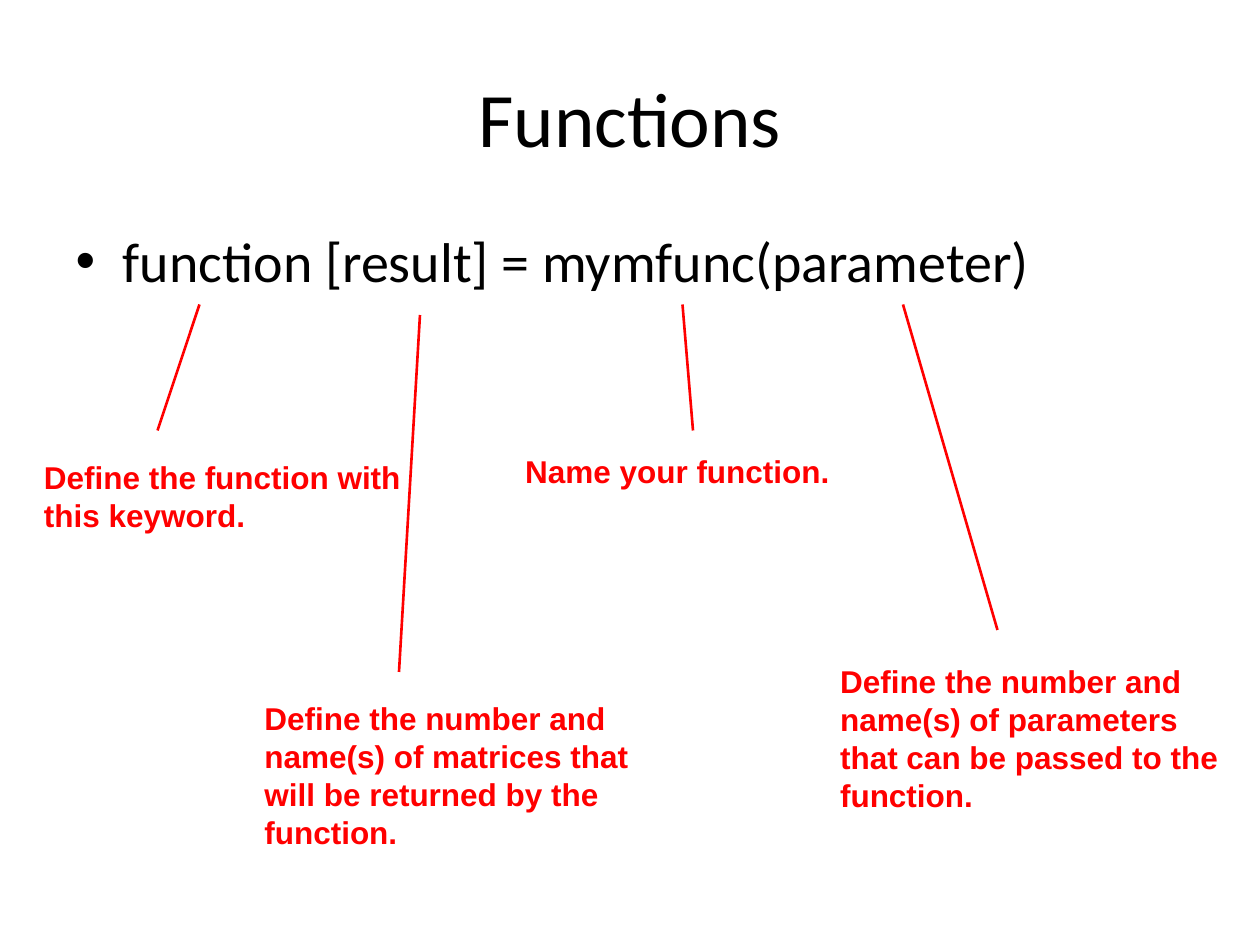
"""Builds the slide that explains the parts of a function definition."""
import dataclasses

import lxml.etree
import pptx
import pptx.dml.color
import pptx.enum.shapes
import pptx.enum.text
import pptx.oxml.ns
import pptx.util

Pt = pptx.util.Pt
RGB = pptx.dml.color.RGBColor


@dataclasses.dataclass(frozen=True)
class Theme:
    ink: RGB = RGB(0, 0, 0)
    accent: RGB = RGB(255, 0, 0)
    title_size: int = 44
    body_size: int = 32
    note_size: int = 18
    line_width: float = 1.5
    main_font: str = "Calibri"
    note_font: str = "Arial"


class SlideBuilder:
    def __init__(self, deck, theme):
        self.theme = theme
        self.slide = deck.slides.add_slide(deck.slide_layouts[1])

    def apply(self, target, values):
        for name, value in values.items():
            setattr(target, name, value)

    def fill_text(self, paragraph, wording, color, **font_values):
        paragraph.text = wording
        for run in paragraph.runs:
            self.apply(run.font, font_values)
            run.font.color.rgb = color

    def placeholder(self, index, wording, box, size, alignment, anchor):
        holder = self.slide.placeholders[index]
        self.apply(holder, dict(zip(("left", "top", "width", "height"), map(Pt, box))))
        holder.text_frame.vertical_anchor = anchor
        paragraph = holder.text_frame.paragraphs[0]
        paragraph.alignment = alignment
        self.fill_text(paragraph, wording, self.theme.ink,
                       size=Pt(size), name=self.theme.main_font)

    def pointer(self, start, end):
        pointer = self.slide.shapes.add_connector(
            pptx.enum.shapes.MSO_CONNECTOR.STRAIGHT, *map(Pt, start + end))
        pointer.line.color.rgb = self.theme.accent
        pointer.line.width = Pt(self.theme.line_width)
        lxml.etree.SubElement(pointer.element.spPr, pptx.oxml.ns.qn("a:effectLst"))

    def note(self, wording, box):
        frame = self.slide.shapes.add_textbox(*map(Pt, box)).text_frame
        self.apply(frame, {
            "word_wrap": False,
            "auto_size": pptx.enum.text.MSO_AUTO_SIZE.SHAPE_TO_FIT_TEXT,
        })
        self.fill_text(frame.paragraphs[0], wording, self.theme.accent,
                       size=Pt(self.theme.note_size), name=self.theme.note_font, bold=True)


POINTERS = [
    ((114, 174), (90, 246)),
    ((240, 180), (228, 384)),
    ((390, 174), (396, 246)),
    ((516, 174), (570, 360)),
]
NOTES = [
    ("Define the function with\nthis keyword.", (18, 258, 220, 51)),
    ("Define the number and\nname(s) of matrices that\nwill be returned by the\nfunction.",
     (144, 396, 222.5, 94)),
    ("Name your function.", (293, 254.75, 190, 29)),
    ("Define the number and\nname(s) of parameters\nthat can be passed to the\nfunction.",
     (473, 375, 230.5, 94)),
]


def main():
    deck = pptx.Presentation()
    deck.slide_width, deck.slide_height = Pt(720), Pt(540)
    theme = Theme()
    builder = SlideBuilder(deck, theme)
    align, anchor = pptx.enum.text.PP_ALIGN, pptx.enum.text.MSO_ANCHOR
    builder.placeholder(0, "Functions", (36, 21.6, 648, 90),
                        theme.title_size, align.CENTER, anchor.MIDDLE)
    builder.placeholder(1, "function [result] = mymfunc(parameter)", (36, 126, 648, 356.4),
                        theme.body_size, align.LEFT, anchor.TOP)
    for start, end in POINTERS:
        builder.pointer(start, end)
    for wording, box in NOTES:
        builder.note(wording, box)
    deck.save("out.pptx")


if __name__ == "__main__":
    main()
